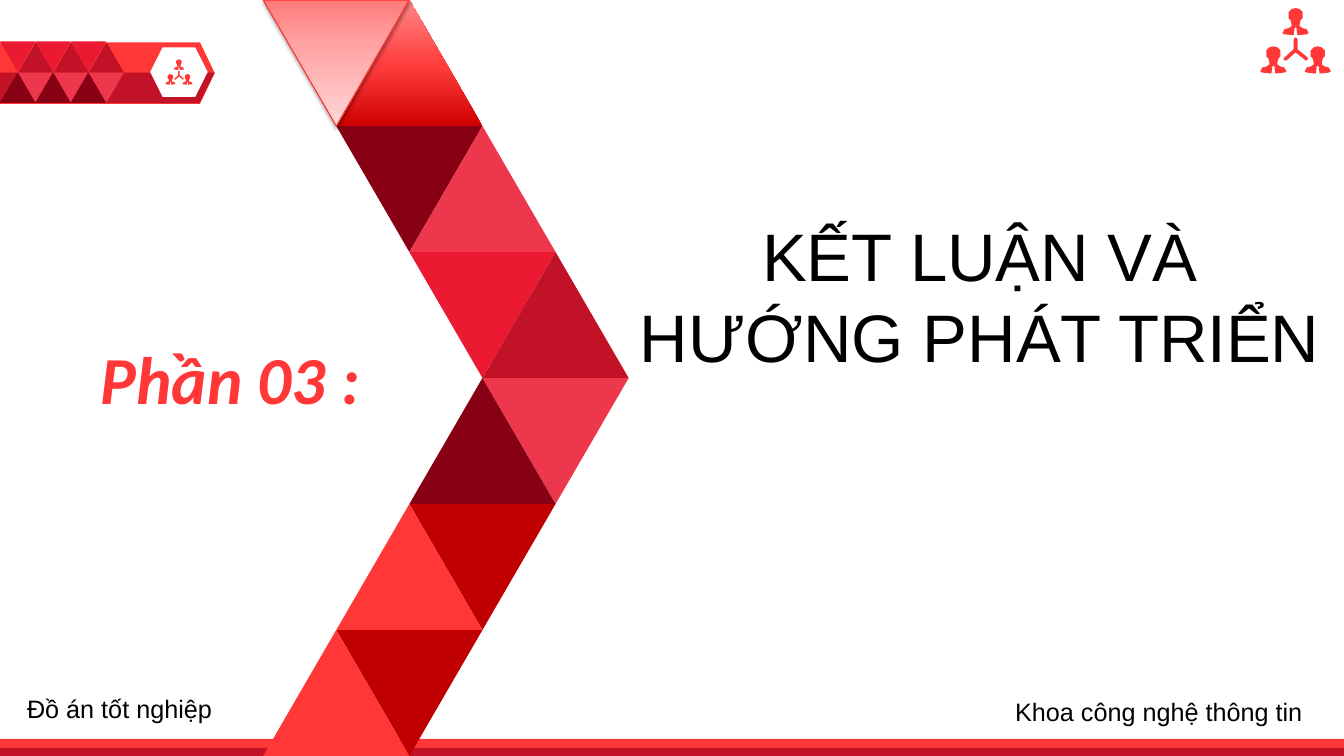
from copy import deepcopy

from lxml.etree import SubElement
from pptx import Presentation
from pptx.dml.color import RGBColor
from pptx.enum.shapes import MSO_SHAPE as SHAPE
from pptx.enum.text import MSO_ANCHOR, MSO_AUTO_SIZE, PP_ALIGN
from pptx.oxml.ns import qn
from pptx.util import Inches, Pt

COLORS = {
    "bright": "FF3737", "crimson": "C21227", "scarlet": "EB1932",
    "rose": "ED374D", "maroon": "880014", "deep": "C00000",
    "outline": "FD3030", "white": "FFFFFF", "black": "000000",
}
RED_FADE = [(0, "CF0000"), (0.48, "FF3C3C"), (1, "FF8787")]
PALE_FADE = [(0, "FF7A7B"), (0.35, "FFA3A3"), (1, "FFD6D6")]

prs = Presentation()
prs.slide_width, prs.slide_height = Inches(13.33), Inches(7.5)
slide = prs.slides.add_slide(prs.slide_layouts[5])
shapes = slide.shapes


def add_block(kind, left, top, width, height, fill, down=False):
    """Add a preset shape; fill is a colour name or a list of gradient stops."""
    block = shapes.add_shape(kind, Inches(left), Inches(top), Inches(width), Inches(height))
    block.shadow.inherit = False
    block.line.fill.background()
    block.rotation = 180 if down else 0
    if isinstance(fill, str):
        block.fill.solid()
        block.fill.fore_color.rgb = RGBColor.from_string(COLORS[fill])
    else:
        block.fill.gradient()
        block.fill.gradient_angle = 90
        stop_list = block._element.spPr.find(".//" + qn("a:gsLst"))
        stop_list.append(deepcopy(stop_list[0]))
        for stop, (position, color) in zip(block.fill.gradient_stops, fill):
            stop.position = position
            stop.color.rgb = RGBColor.from_string(color)
    return block


def add_outline(contours, left, top, scale, fill):
    """Add one freeform made of closed contours, given in hundredths of an inch."""
    placed = [[(Inches(left + x * scale / 100), Inches(top + y * scale / 100))
               for x, y in contour] for contour in contours]
    builder = shapes.build_freeform(*placed[0][0])
    for index, points in enumerate(placed):
        if index:
            builder.move_to(*points[0])
        builder.add_line_segments(points[1:], close=True)
    outline = builder.convert_to_shape()
    outline.shadow.inherit = False
    outline.line.fill.background()
    outline.fill.solid()
    outline.fill.fore_color.rgb = RGBColor.from_string(COLORS[fill])


# Network icon: three people joined by spokes
PERSON = [
    (13, 0), (17, 1), (20, 4), (20, 10), (18, 12), (17, 16), (17, 18), (20, 20),
    (24, 21), (26, 25), (24, 26), (15, 27), (14, 21), (15, 21), (13, 19), (11, 21),
    (12, 21), (11, 27), (2, 26), (0, 25), (2, 21), (6, 20), (9, 18), (9, 16),
    (8, 12), (6, 10), (6, 4), (9, 1),
]
SPOKES = [
    (35, 29), (37, 31), (37, 41), (47, 49), (47, 51), (46, 52), (45, 52), (35, 44),
    (26, 52), (24, 52), (23, 51), (24, 49), (33, 41), (33, 31),
]
NETWORK = [[(x + dx, y + dy) for x, y in PERSON]
           for dx, dy in [(44, 38), (0, 38), (22, 0)]] + [SPOKES]

# Header badge
plate = add_block(SHAPE.PENTAGON, 0, 0.42, 2.13, 0.61, "bright")
plate.adjustments[0] = 0.239
add_outline([[(0, 0), (213, 0), (198, 30), (0, 30)]], 0, 0.72, 1, "crimson")
add_block(SHAPE.HEXAGON, 1.49, 0.47, 0.57, 0.49, "white")
add_outline(NETWORK, 1.64, 0.59, 0.385, "bright")
for column in range(3):
    left = column * 0.35
    for dx, top, fill, down in [
        (0, 0.41, "scarlet", True), (0.18, 0.42, "crimson", False),
        (0.18, 0.72, "rose", True), (0, 0.72, "maroon", False),
    ]:
        add_block(SHAPE.ISOSCELES_TRIANGLE, left + dx, top, 0.35, 0.3, fill, down)

# Footer stripes
add_block(SHAPE.RECTANGLE, 0, 7.33, 13.33, 0.16, "bright")
add_block(SHAPE.RECTANGLE, 0, 7.42, 13.33, 0.08, "crimson")

# Chevron of triangles: half-width column, row, fill, pointing down
SIDE, ROW = 1.45, 1.25
for column, row, fill, down in [
    (1, 0, RED_FADE, False), (1, 1, "maroon", True), (0, 0, PALE_FADE, True),
    (2, 1, "rose", False), (2, 2, "scarlet", True), (3, 2, "crimson", False),
    (3, 3, "rose", True), (2, 3, "maroon", False), (2, 4, "deep", True),
    (1, 4, "bright", False), (1, 5, "deep", True), (0, 5, "bright", False),
]:
    triangle = add_block(SHAPE.ISOSCELES_TRIANGLE, 2.61 + column * SIDE / 2, row * ROW,
                         SIDE, ROW, fill, down)
    if fill is PALE_FADE:
        triangle.line.color.rgb = RGBColor.from_string(COLORS["outline"])
        triangle.line.width = Pt(0.75)
        effects = triangle._element.spPr.find(qn("a:effectLst"))
        shadow = SubElement(effects, qn("a:outerShdw"), blurRad=str(Pt(3.1)),
                            dist=str(Pt(1.6)), dir="5400000", rotWithShape="0")
        shade = SubElement(shadow, qn("a:srgbClr"), val=COLORS["black"])
        SubElement(shade, qn("a:alpha"), val="38000")

# Corner icon
add_outline(NETWORK, 12.5, 0.08, 1, "bright")

# Title
title = shapes.title
title.left, title.top, title.width, title.height = (
    Inches(6.22), Inches(2.08), Inches(7), Inches(1.71))
title.text_frame.text = "KẾT LUẬN VÀ HƯỚNG PHÁT TRIỂN"
title.text_frame.vertical_anchor = MSO_ANCHOR.TOP
title.text_frame.auto_size = MSO_AUTO_SIZE.NONE
title.text_frame.paragraphs[0].alignment = PP_ALIGN.CENTER
title_font = title.text_frame.paragraphs[0].runs[0].font
title_font.name, title_font.size = "Arial", Pt(48)
title_font.color.rgb = RGBColor.from_string(COLORS["black"])

# Part number and footer labels
for wording, left, top, width, height, name, size, color, strong in [
    ("Phần 03 :", 0.9, 3.3, 4.12, 0.9, "Calibri", 48, "bright", True),
    ("Đồ án tốt nghiệp", 0.17, 6.83, 2.83, 0.4, "Arial", 18, "black", False),
    ("Khoa công nghệ thông tin", 9.97, 6.86, 3.33, 0.4, "Arial", 18, "black", False),
]:
    label = shapes.add_textbox(Inches(left), Inches(top), Inches(width), Inches(height))
    label.text_frame.word_wrap = True
    label.text_frame.text = wording
    font = label.text_frame.paragraphs[0].runs[0].font
    font.name, font.size = name, Pt(size)
    font.bold = font.italic = strong
    font.color.rgb = RGBColor.from_string(COLORS[color])

prs.save("out.pptx")
